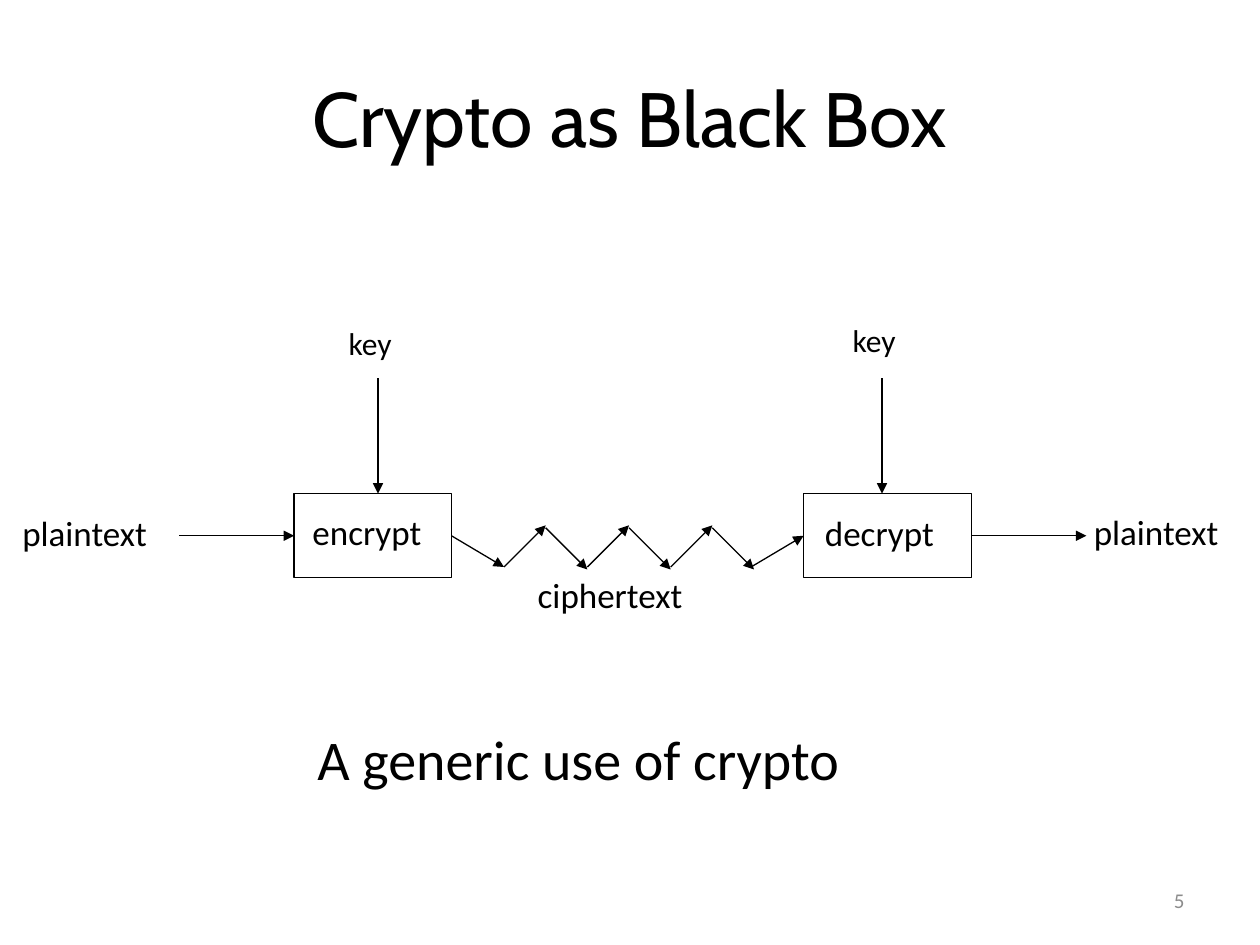
from pptx import Presentation
from pptx.dml.color import RGBColor
from pptx.enum.shapes import MSO_CONNECTOR, MSO_SHAPE
from pptx.enum.text import MSO_ANCHOR, PP_ALIGN
from pptx.util import Cm, Pt
from lxml.etree import SubElement
from pptx.oxml.ns import qn

ink = {"black": "000000", "gray": "8C8C8C"}
black = RGBColor.from_string(ink["black"])
gray = RGBColor.from_string(ink["gray"])


def label(text, x, y, w, h, size, color=black):
    box = slide.shapes.add_textbox(Cm(x), Cm(y), Cm(w), Cm(h))
    frame = box.text_frame
    frame.word_wrap = True
    frame.text = text
    font = frame.paragraphs[0].runs[0].font
    font.name, font.size = "Calibri", Pt(size)
    font.color.rgb = color
    return frame


def arrow(x1, y1, x2, y2):
    line = slide.shapes.add_connector(
        MSO_CONNECTOR.STRAIGHT, Cm(x1), Cm(y1), Cm(x2), Cm(y2))
    line.line.color.rgb = black
    line.line.width = Pt(0.75)
    SubElement(line.line._get_or_add_ln(), qn("a:tailEnd"), type="triangle")
    SubElement(line._element.spPr, qn("a:effectLst"))


deck = Presentation()
deck.slide_width, deck.slide_height = Cm(25.4), Cm(19.05)
slide = deck.slides.add_slide(deck.slide_layouts[5])

title = slide.shapes.title
title.left, title.top, title.width, title.height = Cm(1.27), Cm(0.76), Cm(22.86), Cm(3.18)
title.text_frame.text = "Crypto as Black Box"
title.text_frame.vertical_anchor = MSO_ANCHOR.MIDDLE
head = title.text_frame.paragraphs[0]
head.alignment = PP_ALIGN.CENTER
font = head.runs[0].font
font.name, font.size = "Cabin", Pt(44)
font.color.rgb = black

number = label("5", 18.2, 17.65, 5.93, 1.01, 12, gray)
number.vertical_anchor = MSO_ANCHOR.MIDDLE
number.paragraphs[0].alignment = PP_ALIGN.RIGHT

for x, w in [(5.93, 3.17), (16.2, 3.39)]:
    box = slide.shapes.add_shape(MSO_SHAPE.RECTANGLE, Cm(x), Cm(9.95), Cm(w), Cm(1.7))
    box.shadow.inherit = False
    box.fill.background()
    box.line.color.rgb = black
    box.line.width = Pt(0.75)

for text, x, y, w, h, size in [
    ("plaintext", 0.2, 10.19, 3.6, 1.24, 20),
    ("encrypt", 6.05, 10.16, 3.05, 1.24, 20),
    ("decrypt", 16.38, 10.19, 3.1, 1.24, 20),
    ("plaintext", 21.8, 10.16, 3.6, 1.24, 20),
    ("ciphertext", 10.59, 11.43, 4.24, 1.24, 20),
    ("key", 6.78, 6.4, 2.3, 1.45, 18),
    ("key", 16.94, 6.35, 2.3, 1.45, 18),
    ("A generic use of crypto", 6.15, 14.48, 12.93, 1.83, 32),
]:
    label(text, x, y, w, h, size)

mid, low = 10.8, 11.43
for x in (3.61, 19.58):
    arrow(x, mid, x + 2.32, mid)
for x in (7.62, 17.78):
    arrow(x, 7.62, x, 9.95)

arrow(9.1, mid, 10.16, low)
step, rise = 1.68, 0.84
for i in range(3):
    x = 10.16 + i * step
    arrow(x, low, x + rise, low - rise)
    arrow(x + rise, 10.64, x + step, 10.64 + rise)
arrow(15.14, low, 16.2, mid)

deck.save("out.pptx")
